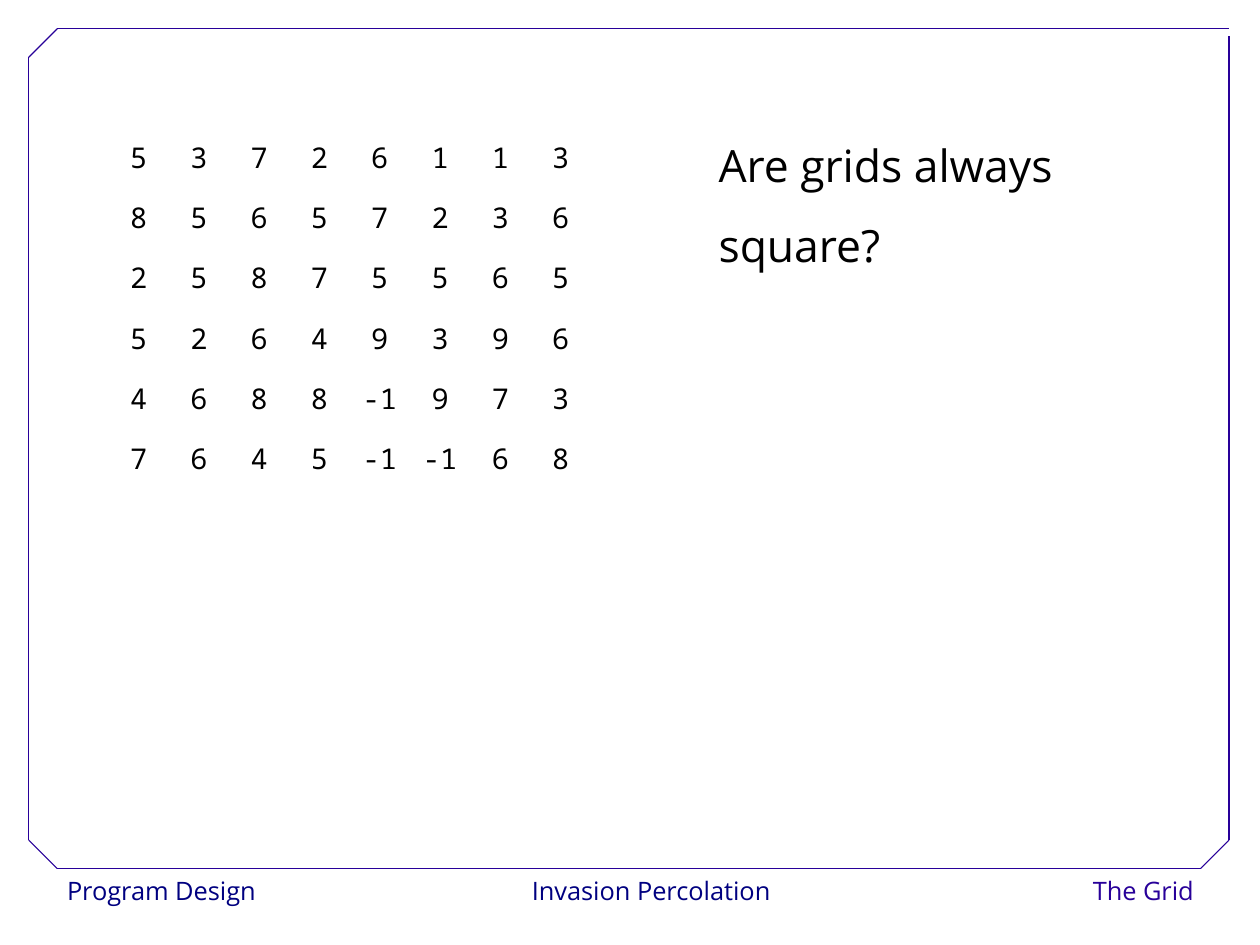
from lxml import etree
from pptx import Presentation
from pptx import util as u
from pptx.dml import color
from pptx.enum import shapes, text
from pptx.oxml import ns

COLORS = {"frame": "280099", "footer": "000080", "ink": "000000", "paper": "FFFFFF"}
SANS, MONO = "Open Sans", "Noto Sans Mono"
ALIGN = text.PP_ALIGN

GRID = [
    [5, 3, 7, 2, 6, 1, 1, 3],
    [8, 5, 6, 5, 7, 2, 3, 6],
    [2, 5, 8, 7, 5, 5, 6, 5],
    [5, 2, 6, 4, 9, 3, 9, 6],
    [4, 6, 8, 8, -1, 9, 7, 3],
    [7, 6, 4, 5, -1, -1, 6, 8],
]


def rgb(name):
    return color.RGBColor.from_string(COLORS[name])


def format_paragraph(paragraph, font, size, ink, align=ALIGN.LEFT, spacing=1.02):
    paragraph.alignment = align
    paragraph.line_spacing = spacing
    paragraph.font.name = font
    paragraph.font.size = u.Pt(size)
    paragraph.font.color.rgb = rgb(ink)


def add_frame(slide, left, top, width, height):
    """Border with three cut corners and a small gap at the top right."""
    right, bottom = left + width, top + height
    cut, gap = u.Cm(0.63), u.Cm(0.17)
    edges = [
        (left + cut, bottom, right - cut, bottom),
        (left, bottom - cut, left, top + cut),
        (left + cut, top, right, top),
        (right, bottom - cut, right, top + gap),
        (left, top + cut, left + cut, top),
        (right - cut, bottom, right, bottom - cut),
        (left, bottom - cut, left + cut, bottom),
    ]
    for edge in edges:
        border = slide.shapes.add_connector(shapes.MSO_CONNECTOR.STRAIGHT, *edge)
        border.line.color.rgb = rgb("frame")
        border.line.width = u.Pt(0.75)
        etree.SubElement(border._element.spPr, ns.qn("a:effectLst"))


def add_footer(slide, left, top, width, height):
    """Topic on the left, lecture in the middle, section on the right."""
    labels = [
        ("Program Design", 0, u.Cm(5), ALIGN.LEFT, "footer"),
        ("Invasion Percolation", u.Cm(10.13), u.Cm(6.2), ALIGN.CENTER, "footer"),
        ("The Grid", width - u.Cm(3.56), u.Cm(3.56), ALIGN.RIGHT, "frame"),
    ]
    for wording, offset, label_width, align, ink in labels:
        label = slide.shapes.add_textbox(left + offset, top, label_width, height)
        label.fill.solid()
        label.fill.fore_color.rgb = rgb("paper")
        label.text_frame.word_wrap = True
        label.text_frame.text = wording
        format_paragraph(label.text_frame.paragraphs[0], SANS, 16, ink, align)


def add_question(slide, left, top, width, height):
    question = slide.shapes.add_textbox(left, top, width, height).text_frame
    question.word_wrap = False
    question.text = "Are grids always\nsquare?"
    for paragraph in question.paragraphs:
        format_paragraph(paragraph, SANS, 28, "ink", spacing=1.5)


def add_number_grid(slide, left, top, width, height):
    grid = slide.shapes.add_table(len(GRID), len(GRID[0]), left, top, width, height).table
    grid.first_row = grid.horz_banding = False
    for row, values in enumerate(GRID):
        for column, value in enumerate(values):
            cell = grid.cell(row, column)
            cell.fill.background()
            cell.vertical_anchor = text.MSO_ANCHOR.MIDDLE
            cell.text = str(value)
            format_paragraph(cell.text_frame.paragraphs[0], MONO, 18, "ink", ALIGN.CENTER)


def main():
    deck = Presentation()
    deck.slide_width, deck.slide_height = u.Cm(28), u.Cm(21)
    slide = deck.slides.add_slide(deck.slide_layouts[6])
    add_footer(slide, u.Cm(1.24), u.Cm(19.3), u.Cm(25.54), u.Cm(1.02))
    add_frame(slide, u.Cm(0.64), u.Cm(0.64), u.Cm(26.67), u.Cm(18.66))
    add_question(slide, u.Cm(15.72), u.Cm(2.34), u.Cm(8.08), u.Cm(3.81))
    add_number_grid(slide, u.Cm(2.41), u.Cm(2.82), u.Cm(10.72), u.Cm(8.04))
    deck.save("out.pptx")


if __name__ == "__main__":
    main()
